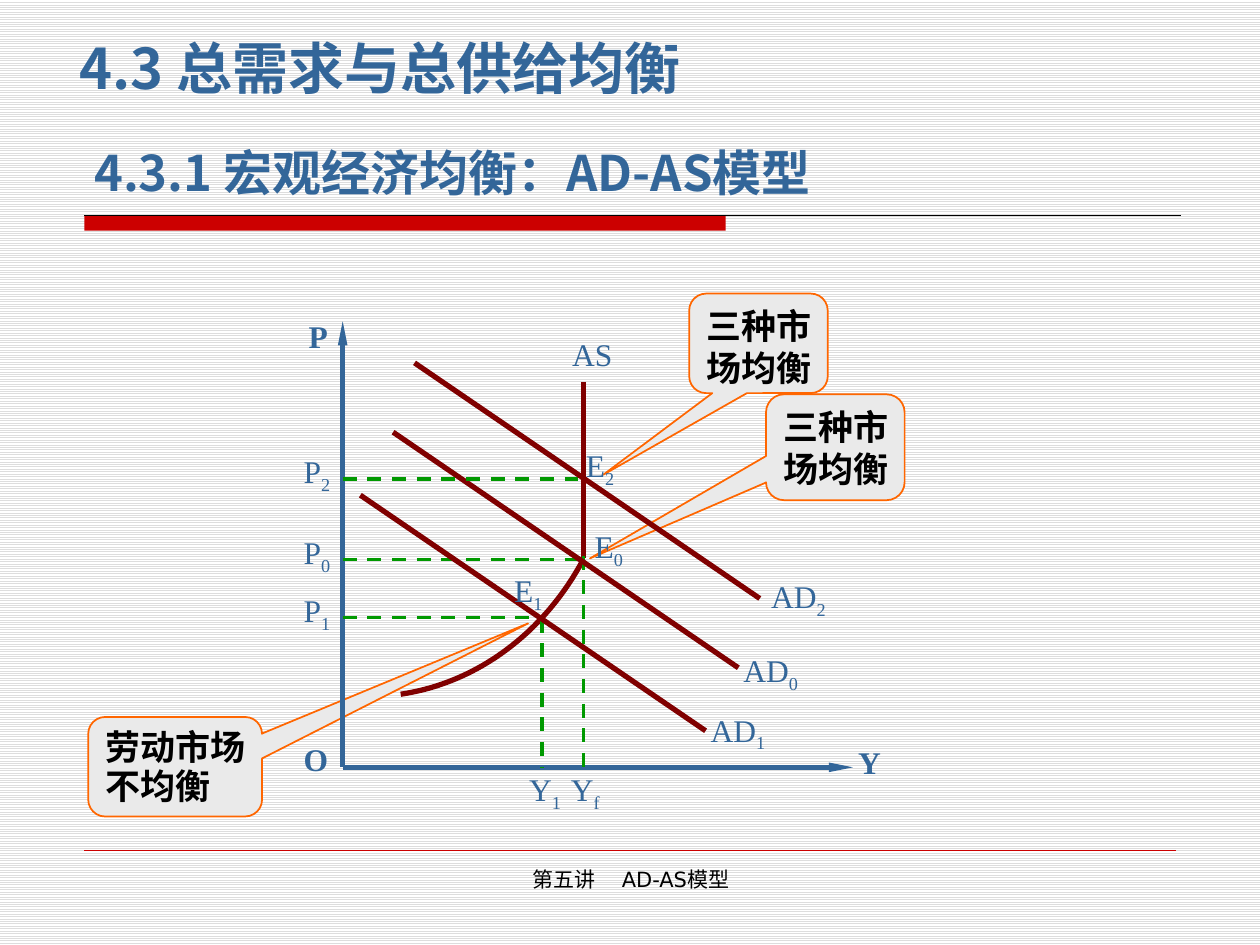
from dataclasses import dataclass

from lxml.etree import SubElement
from pptx import Presentation
from pptx.dml.color import RGBColor
from pptx.enum.dml import MSO_LINE, MSO_PATTERN
from pptx.enum.shapes import MSO_CONNECTOR, MSO_SHAPE
from pptx.enum.text import MSO_ANCHOR, PP_ALIGN
from pptx.oxml.ns import qn
from pptx.util import Inches, Pt


@dataclass(frozen=True)
class Theme:
    blue: str = "336699"
    red: str = "CC0000"
    maroon: str = "800000"
    green: str = "009900"
    orange: str = "FF6600"
    panel: str = "EAEAEA"
    black: str = "000000"
    white: str = "FFFFFF"
    stripe: str = "DDDDDD"
    cjk: str = "Noto Sans CJK SC"
    serif: str = "Times New Roman"
    sans: str = "DejaVu Sans"
    title: int = 32
    subtitle: int = 28
    callout: int = 20
    label: int = 18
    footer: int = 12


@dataclass(frozen=True)
class Box:
    x: float
    y: float
    w: float
    h: float

    def sub(self, x, y, w, h):
        return Box(self.x + x, self.y + y, w, h)


T = Theme()
COLS, ROWS = 100, 75
CELL = Inches(0.1)
LABEL_INSETS = (0.02, 0.01, 0.02, 0.01)


def rgb(c):
    return RGBColor.from_string(c)


def grid(*values):
    return [round(v * CELL) for v in values]


def add_run(p, text, font, size, color, bold=False, base=0, shadow=False):
    r = p.add_run()
    r.text = text
    r.font.size, r.font.bold = Pt(size), bold
    r.font.color.rgb = rgb(color)
    rpr = r._r.get_or_add_rPr()
    if base:
        rpr.set("baseline", str(base * 1000))
    if shadow:
        fx = SubElement(rpr, qn("a:effectLst"))
        sh = SubElement(fx, qn("a:outerShdw"), dist="25400", dir="2700000")
        SubElement(sh, qn("a:srgbClr"), val="C0C0C0")
    r.font.name = font
    SubElement(rpr, qn("a:ea"), typeface=font)


def write(sp, text, sub="", align=PP_ALIGN.LEFT, anchor=MSO_ANCHOR.TOP,
          insets=(0.1, 0.05, 0.1, 0.05), spacing=1.0, before=0, **fmt):
    tf = sp.text_frame
    tf.word_wrap, tf.vertical_anchor = True, anchor
    tf.margin_left, tf.margin_top, tf.margin_right, tf.margin_bottom = map(Inches, insets)
    p = tf.paragraphs[0]
    p.alignment, p.line_spacing, p.space_before = align, spacing, Pt(before)
    add_run(p, text, **fmt)
    if sub:
        add_run(p, sub, base=-25, **fmt)


def add_text(s, box, text, **fmt):
    sp = s.shapes.add_textbox(*grid(box.x, box.y, box.w, box.h))
    write(sp, text, **fmt)


def add_label(s, box, text, sub="", bold=False):
    add_text(s, box, text, sub=sub, align=PP_ALIGN.JUSTIFY, insets=LABEL_INSETS,
             font=T.serif, size=T.label, color=T.blue, bold=bold)


def add_line(s, box, x1, y1, x2, y2, color, width, dash=False, arrow=False):
    ends = grid(box.x + x1, box.y + y1, box.x + x2, box.y + y2)
    c = s.shapes.add_connector(MSO_CONNECTOR.STRAIGHT, *ends)
    c.line.color.rgb, c.line.width = rgb(color), Pt(width)
    if dash:
        c.line.dash_style = MSO_LINE.DASH
    if arrow:
        SubElement(c.line._get_or_add_ln(), qn("a:tailEnd"), type="triangle", w="sm", len="lg")
    SubElement(c._element.spPr, qn("a:effectLst"))


def add_header(s, box):
    bar = s.shapes.add_shape(MSO_SHAPE.RECTANGLE, *grid(box.x, box.y + 14.2, 50.9, 1.2))
    bar.shadow.inherit = False
    bar.fill.solid()
    bar.fill.fore_color.rgb = rgb(T.red)
    bar.line.fill.background()
    add_line(s, box, 0, 14.2, box.w, 14.2, T.black, 0.75)
    style = dict(font=T.cjk, color=T.blue, bold=True, shadow=True, anchor=MSO_ANCHOR.MIDDLE)
    add_text(s, box.sub(-4.1, 0, 57.3, 5.9), "4.3 总需求与总供给均衡", size=T.title,
             spacing=0.8, insets=(0.37, 0.05, 0.1, 0.05), **style)
    add_text(s, box.sub(-0.2, 8.7, 60.6, 4.7), "4.3.1 宏观经济均衡：AD-AS模型",
             size=T.subtitle, spacing=0.9, **style)


def add_callout(s, box, text, tip, spacing=1.0):
    sp = s.shapes.add_shape(MSO_SHAPE.ROUNDED_RECTANGULAR_CALLOUT,
                            *grid(box.x, box.y, box.w, box.h))
    for i, value in enumerate((*tip, 0.17)):
        sp.adjustments[i] = value
    sp.shadow.inherit = False
    sp.fill.solid()
    sp.fill.fore_color.rgb = rgb(T.panel)
    sp.line.color.rgb, sp.line.width = rgb(T.orange), Pt(1)
    write(sp, text, insets=(0.1, 0.05, 0, 0.05), spacing=spacing, before=4,
          font=T.cjk, size=T.callout, color=T.black, bold=True)


def add_supply_curve(s, box):
    bend = ((4.6, 29.6), (10.7, 28.7), (16, 24.7), (19.1, 18.9))
    steps = 32
    points = []
    for i in range(steps + 1):
        t = i / steps
        weights = ((1 - t) ** 3, 3 * t * (1 - t) ** 2, 3 * t * t * (1 - t), t ** 3)
        x, y = (sum(w * p[k] for w, p in zip(weights, bend)) for k in (0, 1))
        points.append(tuple(grid(box.x + x, box.y + y)))
    fb = s.shapes.build_freeform(*points[0])
    fb.add_line_segments(points[1:], close=False)
    sp = fb.convert_to_shape()
    sp.shadow.inherit = False
    sp.fill.background()
    sp.line.color.rgb, sp.line.width = rgb(T.maroon), Pt(3)
    add_line(s, box, 19.1, 4.8, 19.1, 18.8, T.maroon, 3)
    add_label(s, box.sub(18, 1, 4.8, 3.4), "AS")


def add_equilibrium(s, box, sub, demand, name, level, output, point):
    x, y = demand
    add_line(s, box, 0, level, output, level, T.green, 2, dash=True)
    add_line(s, box, x, y, x + 27.4, y + 18.7, T.maroon, 3)
    add_label(s, box.sub(*name, 5.9, 4.2), "AD", sub)
    add_label(s, box.sub(-3.3, level - 2.2, 4.1, 4.2), "P", sub)
    add_label(s, box.sub(*point, 4.1, 4.2), "E", sub)


def add_diagram(s, box):
    add_supply_curve(s, box)
    add_line(s, box, 0, box.h, 0, 0, T.blue, 2.75, arrow=True)
    add_line(s, box, 0, box.h, box.w, box.h, T.blue, 2.75, arrow=True)
    for text, x, y in (("P", -2.9, -0.4), ("O", -3.3, 33.1), ("Y", 40.7, 33.4)):
        add_label(s, box.sub(x, y, 3.4, 4.2), text, bold=True)
    for sub, x, y in (("f", 19.1, 18.6), ("1", 15.8, 23.6)):
        add_line(s, box, x, y, x, box.h, T.green, 2, dash=True)
        add_label(s, box.sub(x - 1.2, box.h + 0.1, 4.1, 4.2), "Y", sub)
    for row in (
        ("0", (4, 8.8), (31.6, 26.1), 18.9, 18.7, (19.8, 16.2)),
        ("2", (5.7, 3.3), (33.8, 20.2), 12.5, 18.7, (19.1, 9.8)),
        ("1", (1.4, 13.8), (29, 30.8), 23.5, 15.7, (13.4, 19.7)),
    ):
        add_equilibrium(s, box, *row)


def add_footer(s, box):
    add_line(s, box, 0, 0, box.w, 0, T.red, 0.25)
    add_text(s, box.sub(27.5, 0.8, 31.7, 5.2), "第五讲    AD-AS模型", align=PP_ALIGN.CENTER,
             font=T.sans, size=T.footer, color=T.black)


def main():
    prs = Presentation()
    prs.slide_width, prs.slide_height = COLS * CELL, ROWS * CELL
    s = prs.slides.add_slide(prs.slide_layouts[6])
    bg = s.background.fill
    bg.patterned()
    bg.pattern = MSO_PATTERN.LIGHT_HORIZONTAL
    bg.fore_color.rgb, bg.back_color.rgb = rgb(T.stripe), rgb(T.white)
    add_header(s, Box(6.7, 2.9, 87, 15.4))
    add_callout(s, Box(60.8, 31.3, 11, 8.4), "三种市场均衡", (-1.77, 1.05))
    add_callout(s, Box(7, 56.9, 13.8, 7.9), "劳动市场不均衡", (2.03, -1.44), spacing=0.95)
    add_callout(s, Box(54.7, 23.3, 11, 7.9), "三种市场均衡", (-1.12, 1.32))
    add_diagram(s, Box(27.2, 25.5, 40.5, 35.4))
    add_footer(s, Box(6.7, 67.5, 86.6, 6))
    prs.save("out.pptx")


if __name__ == "__main__":
    main()
